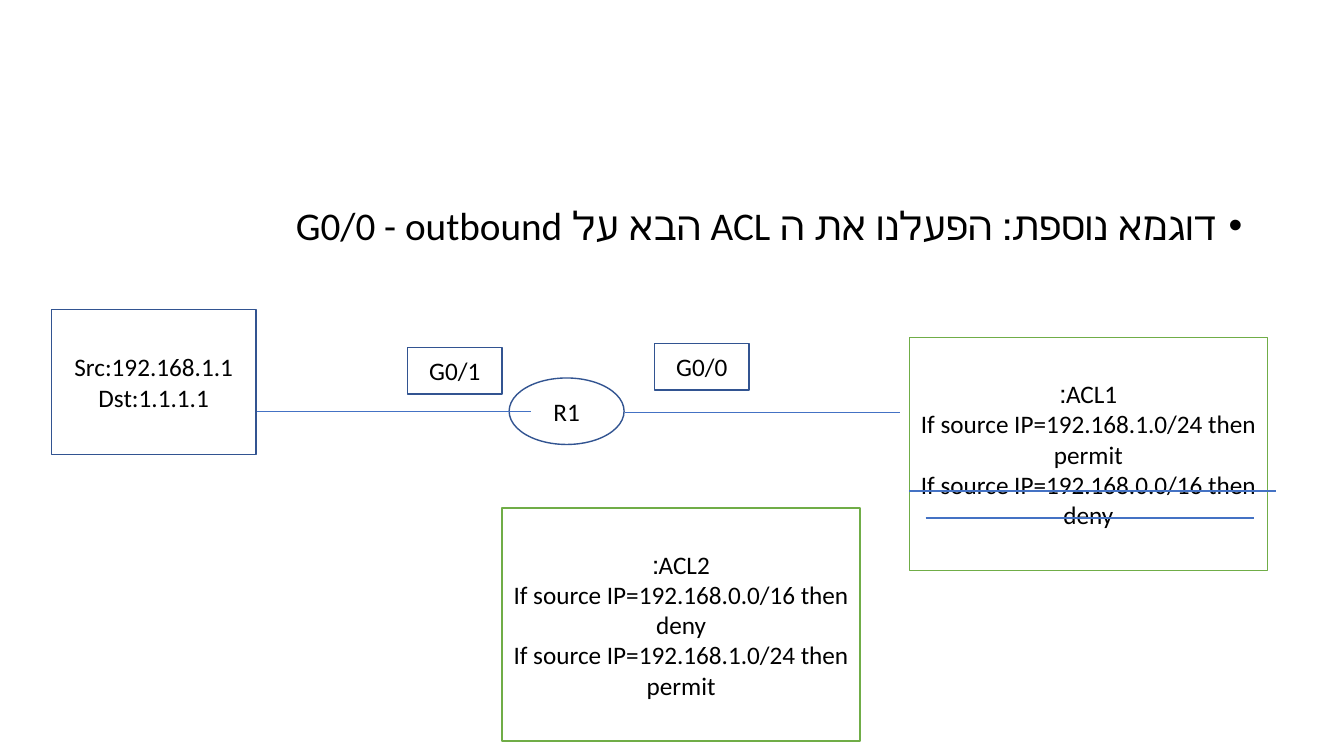
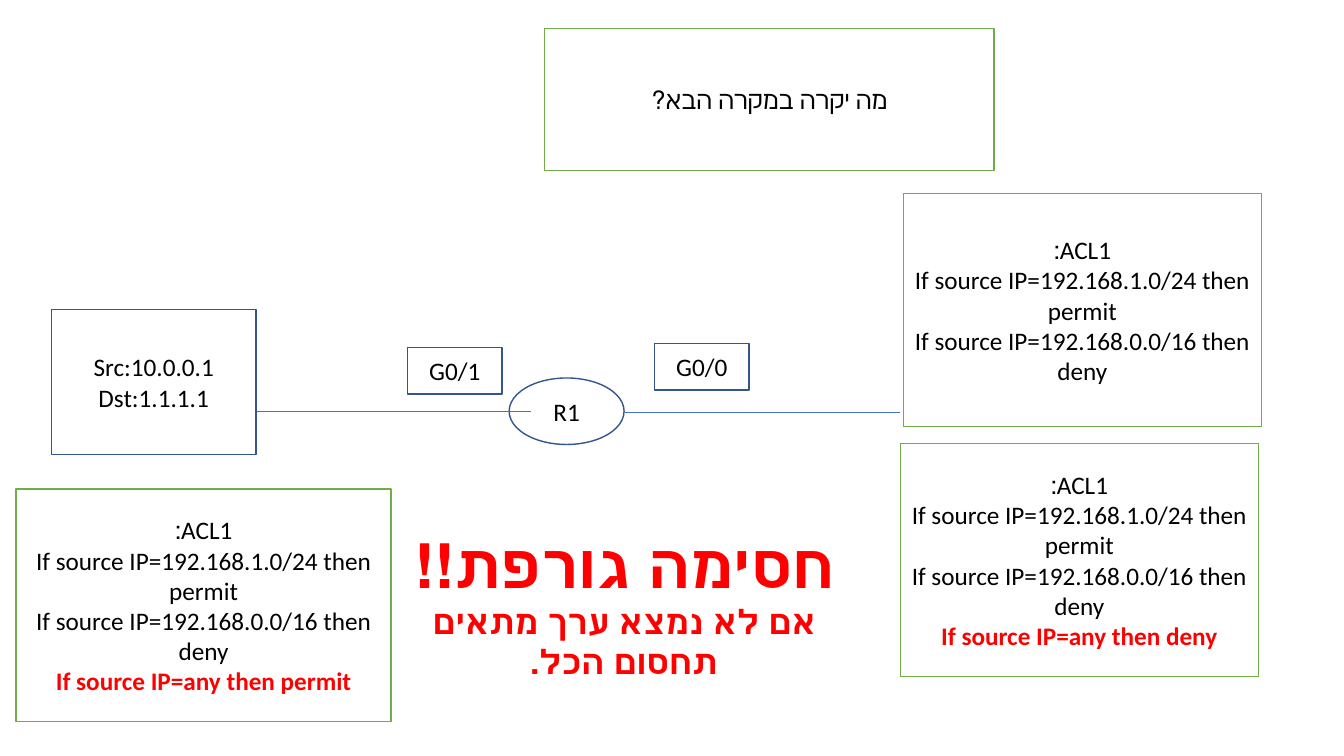
from dataclasses import dataclass

from lxml import etree
from pptx import Presentation
from pptx.dml.color import RGBColor
from pptx.enum import shapes, text
from pptx.oxml import ns
from pptx.util import Inches, Pt

BLACK = RGBColor(0x00, 0x00, 0x00)
WHITE = RGBColor(0xFF, 0xFF, 0xFF)
RED = RGBColor(0xFF, 0x00, 0x00)
NAVY = RGBColor(0x32, 0x54, 0x91)
BLUE = RGBColor(0x44, 0x72, 0xC4)
GREEN = RGBColor(0x70, 0xAD, 0x47)
FONT = "Calibri"
CENTER = text.PP_ALIGN.CENTER
RECTANGLE = shapes.MSO_SHAPE.RECTANGLE
OVAL = shapes.MSO_SHAPE.OVAL

ACL_SIZE = (3.55, 2.31)
PERMIT_24 = "If source IP=192.168.1.0/24 then permit"
DENY_16 = "If source IP=192.168.0.0/16 then deny"


@dataclass(frozen=True)
class Line:
    words: str
    size: float = 18
    color: RGBColor = BLACK
    bold: bool = False


@dataclass(frozen=True)
class Box:
    left: float
    top: float
    width: float
    height: float
    lines: tuple[Line, ...]
    outline: RGBColor = NAVY
    fill: RGBColor | None = None
    preset: shapes.MSO_SHAPE = RECTANGLE


@dataclass(frozen=True)
class Wire:
    left: float
    right: float
    height: float
    weight: float = 0.5


ROUTER = Box(5.05, 3.75, 1.14, 0.66, (Line("R1"),), preset=OVAL)
PORTS = (
    Box(6.49, 3.41, 0.94, 0.46, (Line("G0/0"),)),
    Box(4.04, 3.45, 0.94, 0.46, (Line("G0/1"),)),
)
LINKS = (Wire(6.2, 8.93, 4.09), Wire(2.54, 5.27, 4.08))
STRIKES = (Wire(9.02, 12.66, 4.87, 1), Wire(9.18, 12.44, 5.14, 1))


def green_box(left: float, top: float, lines: tuple[Line, ...],
              size: tuple[float, float] = ACL_SIZE) -> Box:
    return Box(left, top, *size, lines, GREEN, WHITE)


def acl_lines(name: str, *rules: str, last: str = "") -> tuple[Line, ...]:
    lines = tuple(Line(words) for words in (f"{name}:", *rules))
    return lines + ((Line(last, color=RED, bold=True),) if last else ())


def write_lines(frame, lines: tuple[Line, ...], align=CENTER, bullet: str = "") -> None:
    frame.word_wrap = True
    for index, line in enumerate(lines):
        para = frame.paragraphs[0] if index == 0 else frame.add_paragraph()
        para.text = line.words
        para.alignment = align
        para.space_before = Pt(0)
        properties = para._p.get_or_add_pPr()
        properties.set("rtl", "1")
        if bullet:
            para.line_spacing = 0.9
            properties.set("marL", str(Inches(0.25)))
            properties.set("indent", str(Inches(-0.25)))
            etree.SubElement(properties, ns.qn("a:buChar")).set("char", bullet)
        para.font.name = FONT
        para.font.size = Pt(line.size)
        para.font.bold = line.bold
        para.font.color.rgb = line.color


def draw_box(page, box: Box) -> None:
    shape = page.shapes.add_shape(
        box.preset, Inches(box.left), Inches(box.top), Inches(box.width), Inches(box.height))
    shape.shadow.inherit = False
    if box.fill is None:
        shape.fill.background()
    else:
        shape.fill.solid()
        shape.fill.fore_color.rgb = box.fill
    shape.line.color.rgb = box.outline
    shape.line.width = Pt(1)
    shape.text_frame.vertical_anchor = text.MSO_ANCHOR.MIDDLE
    write_lines(shape.text_frame, box.lines)


def draw_wire(page, wire: Wire) -> None:
    connector = page.shapes.add_connector(
        shapes.MSO_CONNECTOR.STRAIGHT, Inches(wire.left), Inches(wire.height),
        Inches(wire.right), Inches(wire.height))
    connector.line.color.rgb = BLUE
    connector.line.width = Pt(wire.weight)
    etree.SubElement(connector._element.spPr, ns.qn("a:effectLst"))


def draw_network(page, source: str) -> None:
    draw_box(page, ROUTER)
    for link in LINKS:
        draw_wire(page, link)
    packet = (Line(f"Src:{source}"), Line("Dst:1.1.1.1"))
    for box in (*PORTS, Box(0.51, 3.07, 2.03, 1.44, packet)):
        draw_box(page, box)


def build_example(deck) -> None:
    page = deck.slides.add_slide(deck.slide_layouts[1])
    title = page.shapes.title._element
    title.getparent().remove(title)
    body = page.placeholders[1]
    body.left, body.top = Inches(0.92), Inches(2)
    body.width, body.height = Inches(11.5), Inches(4.76)
    write_lines(body.text_frame,
                (Line("דוגמא נוספת: הפעלנו את ה ACL הבא על G0/0 - outbound", 28),),
                text.PP_ALIGN.RIGHT, "•")
    draw_network(page, "192.168.1.1")
    draw_box(page, green_box(9.02, 3.35, acl_lines("ACL1", PERMIT_24, DENY_16)))
    draw_box(page, green_box(4.98, 5.04, acl_lines("ACL2", DENY_16, PERMIT_24)))
    for strike in STRIKES:
        draw_wire(page, strike)


def build_question(deck) -> None:
    page = deck.slides.add_slide(deck.slide_layouts[6])
    draw_network(page, "10.0.0.1")
    rules = ("ACL1", PERMIT_24, DENY_16)
    for box in (
        green_box(8.96, 1.92, acl_lines(*rules)),
        green_box(5.4, 0.28, (Line("מה יקרה במקרה הבא?"),), (4.46, 1.41)),
        green_box(8.93, 4.4, acl_lines(*rules, last="If source IP=any then deny")),
        green_box(0.16, 4.85, acl_lines(*rules, last="If source IP=any then permit"),
                  (3.72, 2.31)),
    ):
        draw_box(page, box)
    verdict = page.shapes.add_textbox(Inches(3.79), Inches(5.18), Inches(4.8), Inches(1.65))
    write_lines(verdict.text_frame, (
        Line("חסימה גורפת!!", 44, RED, True),
        Line("אם לא נמצא ערך מתאים תחסום הכל.", 24, RED, True),
    ))
    verdict.text_frame.auto_size = text.MSO_AUTO_SIZE.SHAPE_TO_FIT_TEXT


def main() -> None:
    deck = Presentation()
    deck.slide_width, deck.slide_height = Inches(13.33), Inches(7.5)
    build_example(deck)
    build_question(deck)
    deck.save("out.pptx")


if __name__ == "__main__":
    main()
